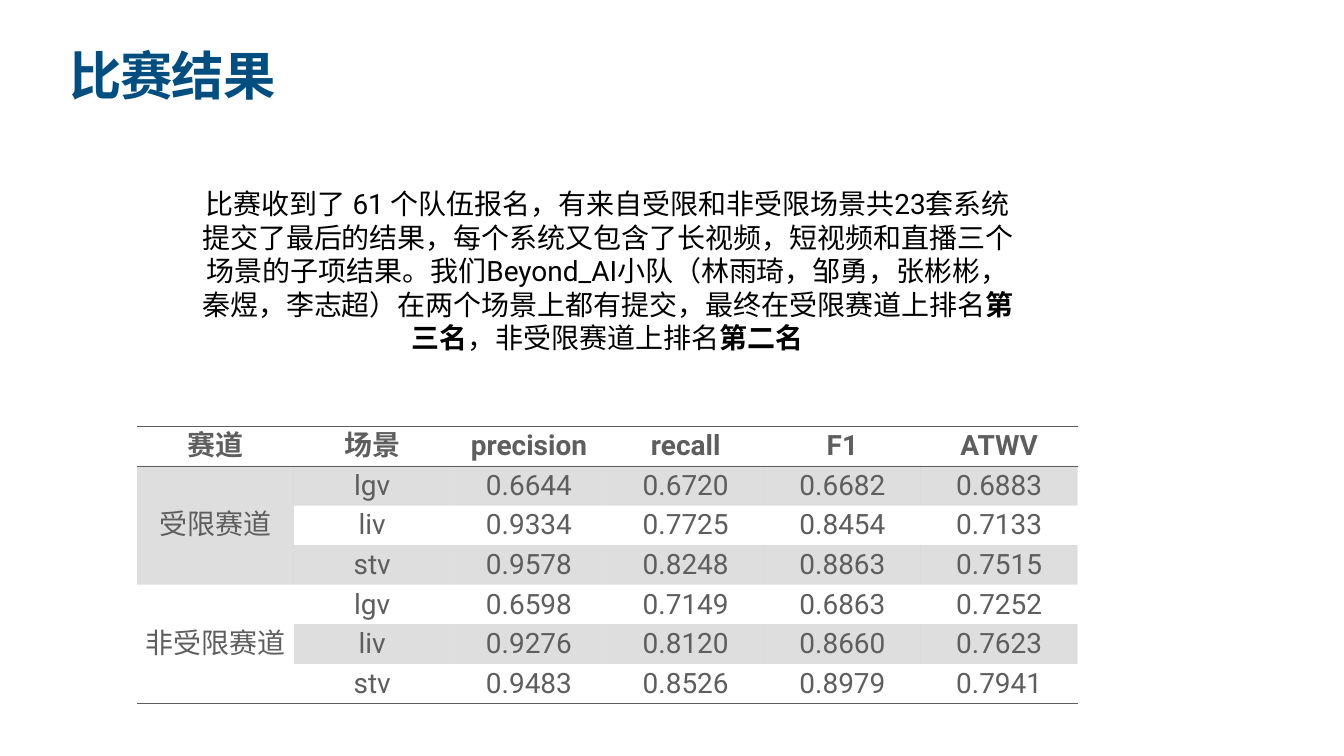
import pptx
import pptx.dml.color
import pptx.enum.text
import pptx.oxml
import pptx.oxml.ns
import pptx.util
from lxml import etree
from pptx.util import Cm

COLORS = {"title": "004D80", "body": "000000", "table": "5E5E5E"}
FONT = "Roboto"
INSET = Cm(0.15)
PLAIN_TABLE_STYLE = "{2D5ABB26-0587-4C30-8999-92F81FD0307C}"

HEADERS = ["赛道", "场景", "precision", "recall", "F1", "ATWV"]
TRACKS = {
    "受限赛道": [
        ["lgv", "0.6644", "0.6720", "0.6682", "0.6883"],
        ["liv", "0.9334", "0.7725", "0.8454", "0.7133"],
        ["stv", "0.9578", "0.8248", "0.8863", "0.7515"],
    ],
    "非受限赛道": [
        ["lgv", "0.6598", "0.7149", "0.6863", "0.7252"],
        ["liv", "0.9276", "0.8120", "0.8660", "0.7623"],
        ["stv", "0.9483", "0.8526", "0.8979", "0.7941"],
    ],
}
SUMMARY = [
    ("比赛收到了 61 个队伍报名，有来自受限和非受限场景共23套系统提交了最后的结果，"
     "每个系统又包含了长视频，短视频和直播三个场景的子项结果。"
     "我们Beyond_AI小队（林雨琦，邹勇，张彬彬，秦煜，李志超）"
     "在两个场景上都有提交，最终在受限赛道上排名", False),
    ("第三名", True),
    ("，非受限赛道上排名", False),
    ("第二名", True),
]


def add_child(parent, tag, **attributes):
    return etree.SubElement(parent, pptx.oxml.ns.qn(tag), **attributes)


def add_run(paragraph, text, size, color, bold=False):
    run = paragraph.add_run()
    run.text = text
    run.font.size = pptx.util.Pt(size)
    run.font.bold = bold
    run.font.color.rgb = pptx.dml.color.RGBColor.from_string(COLORS[color])
    run.font.name = FONT
    # East Asian text uses the same font
    add_child(run.font._element, "a:ea", typeface=FONT)
    return run


def set_insets(target):
    target.margin_left = target.margin_right = INSET
    target.margin_top = target.margin_bottom = INSET


def add_text_box(slide, left, top, width, height):
    shape = slide.shapes.add_textbox(Cm(left), Cm(top), Cm(width), Cm(height))
    frame = shape.text_frame
    frame.word_wrap = True
    set_insets(frame)
    return frame.paragraphs[0]


def add_border(cell, tag):
    line = add_child(cell._tc.get_or_add_tcPr(), tag, w=str(pptx.util.Pt(1)))
    fill = add_child(line, "a:solidFill")
    add_child(fill, "a:srgbClr", val=COLORS["table"])


def fill_cell(cell, shaded):
    if not shaded:
        cell.fill.background()
        return
    cell.fill.solid()
    cell.fill.fore_color.rgb = pptx.dml.color.RGBColor.from_string(COLORS["table"])
    for color in cell._tc.tcPr.findall("./" + pptx.oxml.ns.qn("a:solidFill") + "/*"):
        add_child(color, "a:alpha", val="20000")


def write_cell(cell, text, bold=False, shaded=False, borders=()):
    set_insets(cell)
    cell.vertical_anchor = pptx.enum.text.MSO_ANCHOR.MIDDLE
    for tag in borders:
        add_border(cell, tag)
    fill_cell(cell, shaded)
    paragraph = cell.text_frame.paragraphs[0]
    paragraph.alignment = pptx.enum.text.PP_ALIGN.CENTER
    if text:
        add_run(paragraph, text, 40, "table", bold)
    else:
        paragraph.font.size = pptx.util.Pt(1)


def add_results_table(slide):
    row_count = 1 + sum(len(rows) for rows in TRACKS.values())
    frame = slide.shapes.add_table(row_count, len(HEADERS), Cm(6.91), Cm(21.49),
                                   Cm(47.4), Cm(1.95 * row_count))
    table = frame.table
    table.first_row = table.horz_banding = False
    table._tbl.tblPr.find(pptx.oxml.ns.qn("a:tableStyleId")).text = PLAIN_TABLE_STYLE
    for row in table.rows:
        row.height = Cm(1.95)

    # Header row
    for column, text in enumerate(HEADERS):
        write_cell(table.cell(0, column), text, True, borders=("a:lnT", "a:lnB"))

    # One merged track cell beside three banded scene rows
    row_index = 1
    for track, rows in TRACKS.items():
        first = row_index
        for offset, values in enumerate(rows):
            borders = ("a:lnB",) if row_index == row_count - 1 else ()
            label = track if offset == 0 else ""
            write_cell(table.cell(row_index, 0), label, shaded=first == 1, borders=borders)
            for column, text in enumerate(values, 1):
                write_cell(table.cell(row_index, column), text,
                           shaded=row_index % 2 == 1, borders=borders)
            row_index += 1
        if borders:
            add_track_border = table.cell(first, 0)
            add_track_border.fill.background()
            line_parent = add_track_border._tc.tcPr
            add_border(add_track_border, "a:lnB")
            line_parent.insert(0, line_parent[-1])
        table.cell(first, 0).merge(table.cell(row_index - 1, 0))


def main():
    presentation = pptx.Presentation()
    presentation.slide_width = Cm(67.74)
    presentation.slide_height = Cm(38.1)
    slide = presentation.slides.add_slide(presentation.slide_layouts[6])

    # Title
    title = add_text_box(slide, 3.35, 2.64, 27.15, 3.99)
    title.line_spacing = 0.8
    run = add_run(title, "比赛结果", 74.8, "title", True)
    run.font._element.set("spc", "-150")

    # Summary
    summary = add_text_box(slide, 9.65, 9.25, 41.96, 8.84)
    summary.alignment = pptx.enum.text.PP_ALIGN.CENTER
    for text, bold in SUMMARY:
        add_run(summary, text, 40, "body", bold)

    # Results
    add_results_table(slide)
    presentation.save("out.pptx")


main()
